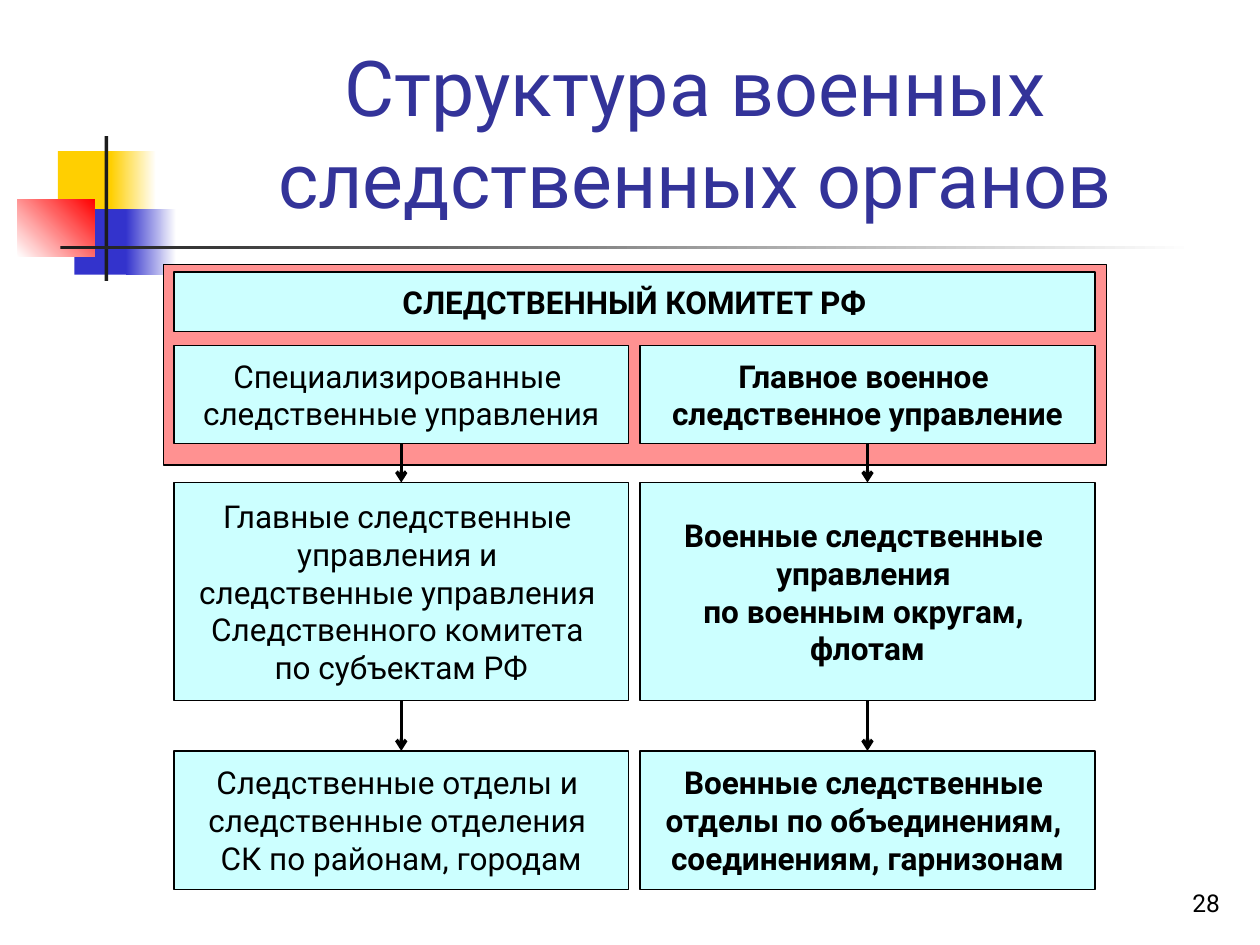
from lxml import etree
from pptx import Presentation
from pptx.dml.color import RGBColor
from pptx.enum.shapes import MSO_CONNECTOR, MSO_SHAPE
from pptx.enum.text import MSO_ANCHOR, PP_ALIGN
from pptx.oxml.ns import qn
from pptx.util import Inches, Pt

RECTANGLE = MSO_SHAPE.RECTANGLE
STRAIGHT = MSO_CONNECTOR.STRAIGHT
CENTER, RIGHT = PP_ALIGN.CENTER, PP_ALIGN.RIGHT
MIDDLE, BOTTOM = MSO_ANCHOR.MIDDLE, MSO_ANCHOR.BOTTOM

BLACK = RGBColor(0x00, 0x00, 0x00)
WHITE = RGBColor(0xFF, 0xFF, 0xFF)
CHARCOAL = RGBColor(0x1C, 0x1C, 0x1C)
YELLOW = RGBColor(0xFF, 0xCF, 0x01)
BLUE = RGBColor(0x33, 0x33, 0xCC)
RED = RGBColor(0xFF, 0x00, 0x00)
TITLE_BLUE = RGBColor(0x33, 0x33, 0x99)
PINK = RGBColor(0xFF, 0x91, 0x91)
PALE_CYAN = RGBColor(0xCC, 0xFF, 0xFF)


class StructureSlide:
    font_name = "Roboto"
    box_size = 18

    def __init__(self, slide):
        self.slide = slide

    def set_text(self, shape, lines, size, color=BLACK, bold=False,
                 align=CENTER, anchor=MIDDLE, wrap=True):
        frame = shape.text_frame
        frame.word_wrap = wrap
        frame.vertical_anchor = anchor
        frame.text = "\n".join(lines)
        for paragraph in frame.paragraphs:
            paragraph.alignment = align
            font = paragraph.font
            font.name, font.size, font.bold = self.font_name, Pt(size), bold
            font.color.rgb = color

    def text(self, left, top, width, height, line, size, **style):
        shape = self.slide.shapes.add_textbox(
            Inches(left), Inches(top), Inches(width), Inches(height))
        self.set_text(shape, [line], size, **style)

    def rectangle(self, left, top, width, height, fill, outlined=False):
        shape = self.slide.shapes.add_shape(
            RECTANGLE, Inches(left), Inches(top), Inches(width), Inches(height))
        shape.shadow.inherit = False
        shape.fill.solid()
        shape.fill.fore_color.rgb = fill
        if outlined:
            shape.line.color.rgb = BLACK
            shape.line.width = Pt(0.75)
        else:
            shape.line.fill.background()
        return shape

    def gradient(self, left, top, width, height, start, end, angle=0):
        fill = self.rectangle(left, top, width, height, start).fill
        fill.gradient()
        fill.gradient_angle = angle
        for stop, color, position in zip(fill.gradient_stops, (start, end), (0, 1)):
            stop.color.rgb = color
            stop.position = position

    def box(self, left, top, width, height, lines, bold=False):
        shape = self.rectangle(left, top, width, height, PALE_CYAN, outlined=True)
        self.set_text(shape, lines, self.box_size, bold=bold, wrap=False)

    def arrow(self, x, top, bottom):
        connector = self.slide.shapes.add_connector(
            STRAIGHT, Inches(x), Inches(top), Inches(x), Inches(bottom))
        connector.line.color.rgb = BLACK
        connector.line.width = Pt(2)
        properties = connector._element.spPr
        etree.SubElement(properties.find(qn("a:ln")), qn("a:tailEnd"), type="arrow")
        etree.SubElement(properties, qn("a:effectLst"))


def main():
    presentation = Presentation()
    presentation.slide_width = Inches(10)
    presentation.slide_height = Inches(7.5)
    page = StructureSlide(presentation.slides.add_slide(presentation.slide_layouts[6]))

    # Corner ornament
    page.rectangle(0.46, 1.2, 0.48, 0.52, YELLOW)
    page.gradient(0.88, 1.2, 0.36, 0.52, YELLOW, WHITE)
    page.rectangle(0.59, 1.66, 0.46, 0.52, BLUE)
    page.gradient(1, 1.66, 0.4, 0.52, BLUE, WHITE)
    page.gradient(0.14, 1.58, 0.61, 0.46, WHITE, RED, angle=45)
    page.rectangle(0.83, 1.08, 0.03, 1.15, CHARCOAL)
    page.gradient(0.48, 1.95, 9, 0.03, CHARCOAL, WHITE)

    # Title and page number
    page.text(1.26, 0.23, 8.52, 1.6, "Структура военных следственных органов", 44,
              color=TITLE_BLUE, anchor=BOTTOM)
    page.text(7.7, 6.83, 2.08, 0.5, "28", 14, align=RIGHT, anchor=BOTTOM)

    # Committee frame and heading
    page.rectangle(1.3, 2.1, 7.48, 1.59, PINK, outlined=True)
    page.box(1.38, 2.16, 7.31, 0.47, ["СЛЕДСТВЕННЫЙ КОМИТЕТ РФ"], bold=True)

    # Two columns of bodies; trailing spaces belong to the centred lines
    box_width = 3.61
    rows = [(2.74, 0.78), (3.83, 1.73), (5.96, 1.1)]
    columns = [
        (1.38, False, [
            ["Специализированные ", "следственные управления"],
            ["Главные следственные ", "управления и ", "следственные управления ",
             "Следственного комитета ", "по субъектам РФ"],
            ["Следственные отделы и ", "следственные отделения ",
             "СК по районам, городам"],
        ]),
        (5.08, True, [
            ["Главное военное ", "следственное управление"],
            ["Военные следственные ", "управления ", "по военным округам, ", "флотам"],
            ["Военные следственные ", "отделы по объединениям, ",
             "соединениям, гарнизонам"],
        ]),
    ]
    for left, bold, bodies in columns:
        for (top, height), lines in zip(rows, bodies):
            page.box(left, top, box_width, height, lines, bold)
        for (top, height), (next_top, _) in zip(rows, rows[1:]):
            page.arrow(left + box_width / 2, top + height, next_top)

    presentation.save("out.pptx")


if __name__ == "__main__":
    main()
